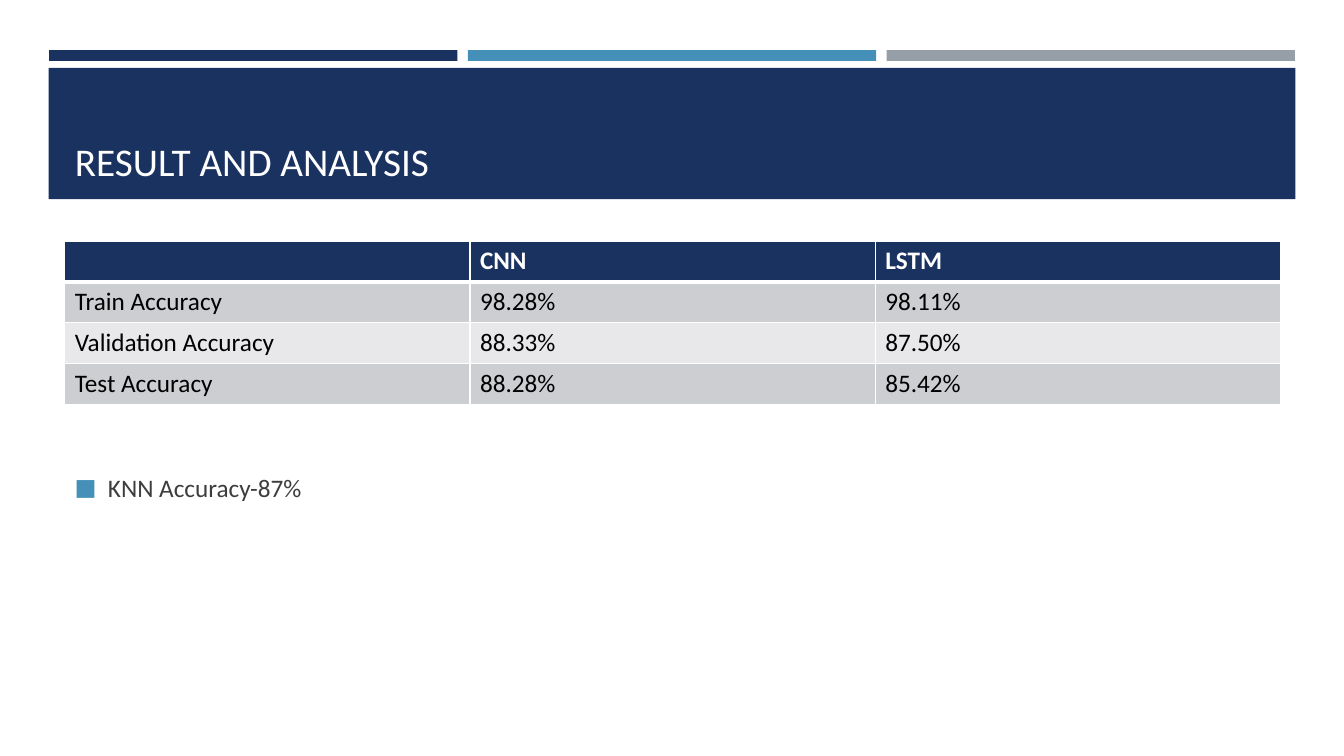
from dataclasses import dataclass

from lxml import etree
from pptx import Presentation
from pptx.dml.color import RGBColor
from pptx.enum.shapes import MSO_SHAPE
from pptx.enum.text import MSO_ANCHOR, MSO_AUTO_SIZE, PP_ALIGN
from pptx.oxml.ns import qn
from pptx.util import Inches, Pt

RECTANGLE = MSO_SHAPE.RECTANGLE
LEFT = PP_ALIGN.LEFT
BOTTOM, MIDDLE = MSO_ANCHOR.BOTTOM, MSO_ANCHOR.MIDDLE
NO_AUTOFIT = MSO_AUTO_SIZE.NONE

SLIDE_WIDTH, SLIDE_HEIGHT = Inches(13.33), Inches(7.5)
FONT = "Calibri"
COLORS = {
    "navy": "1A3260",
    "blue": "4590B8",
    "gray": "969FA7",
    "white": "FFFFFF",
    "black": "000000",
    "text": "3D3D3D",
    "dark_band": "CDCED2",
    "light_band": "E8E8EA",
}


@dataclass(frozen=True)
class Box:
    """Position and size in percent of the slide."""
    left: float
    top: float
    width: float
    height: float

    def lengths(self) -> tuple[int, int, int, int]:
        return (
            round(SLIDE_WIDTH * self.left / 100),
            round(SLIDE_HEIGHT * self.top / 100),
            round(SLIDE_WIDTH * self.width / 100),
            round(SLIDE_HEIGHT * self.height / 100),
        )


@dataclass(frozen=True)
class Bar:
    box: Box
    color: str


STRIPE_LEFT, STRIPE_PITCH, STRIPE_WIDTH = 3.65, 31.16, 30.38
BARS = [
    Bar(Box(STRIPE_LEFT + index * STRIPE_PITCH, 6.64, STRIPE_WIDTH, 1.42), color)
    for index, color in enumerate(("navy", "blue", "gray"))
] + [Bar(Box(3.62, 8.97, 92.77, 17.36), "navy")]

TITLE_BOX = Box(4.82, 10.27, 90.45, 14.8)
TABLE_BOX = Box(4.82, 31.87, 90.45, 21.4)
BULLET_BOX = Box(4.82, 60.5, 90.45, 8)

ACCURACY_ROWS = [
    ("", "CNN", "LSTM"),
    ("Train Accuracy", "98.28%", "98.11%"),
    ("Validation Accuracy", "88.33%", "87.50%"),
    ("Test Accuracy", "88.28%", "85.42%"),
]


def rgb(name: str) -> RGBColor:
    return RGBColor.from_string(COLORS[name])


def write_text(frame, text: str, *, size: float = 18, color: str = "black",
               bold: bool = False, anchor=None):
    if anchor is not None:
        frame.vertical_anchor = anchor
        frame.word_wrap = True
        frame.auto_size = NO_AUTOFIT
    paragraph = frame.paragraphs[0]
    paragraph.alignment = LEFT
    run = paragraph.add_run()
    run.text = text
    run.font.name = FONT
    run.font.size = Pt(size)
    run.font.bold = bold
    run.font.color.rgb = rgb(color)
    return paragraph


def draw_bar(slide, bar: Bar) -> None:
    shape = slide.shapes.add_shape(RECTANGLE, *bar.box.lengths())
    shape.shadow.inherit = False
    shape.fill.solid()
    shape.fill.fore_color.rgb = rgb(bar.color)
    shape.line.fill.background()


def draw_title(slide, text: str) -> None:
    title = slide.shapes.title
    title.left, title.top, title.width, title.height = TITLE_BOX.lengths()
    write_text(title.text_frame, text, size=28, color="white", anchor=BOTTOM)
    title.element.getparent().append(title.element)


def set_borders(cell, widths: dict[str, float]) -> None:
    properties = cell._tc.get_or_add_tcPr()
    for index, (side, width) in enumerate(widths.items()):
        line = etree.Element(qn(f"a:ln{side}"), w=str(Pt(width)))
        fill = etree.SubElement(line, qn("a:solidFill"))
        etree.SubElement(fill, qn("a:srgbClr"), val=COLORS["white"])
        properties.insert(index, line)


def draw_table(slide, rows: list[tuple[str, ...]]) -> None:
    frame = slide.shapes.add_table(len(rows), len(rows[0]), *TABLE_BOX.lengths())
    for row_index, values in enumerate(rows):
        header = row_index == 0
        band = "navy" if header else "dark_band" if row_index % 2 else "light_band"
        borders = {"L": 1, "R": 1, "T": 3 if row_index == 1 else 1, "B": 3 if header else 1}
        for column_index, value in enumerate(values):
            cell = frame.table.cell(row_index, column_index)
            cell.fill.solid()
            cell.fill.fore_color.rgb = rgb(band)
            set_borders(cell, borders)
            if value:
                write_text(cell.text_frame, value, bold=header,
                           color="white" if header else "black")


def draw_bullet(slide, text: str) -> None:
    box = slide.shapes.add_textbox(*BULLET_BOX.lengths())
    paragraph = write_text(box.text_frame, text, color="text", anchor=MIDDLE)
    properties = paragraph._p.get_or_add_pPr()
    properties.set("marL", str(Inches(0.33)))
    properties.set("indent", str(-Inches(0.33)))
    color = etree.SubElement(properties, qn("a:buClr"))
    etree.SubElement(color, qn("a:srgbClr"), val=COLORS["blue"])
    etree.SubElement(properties, qn("a:buSzPct"), val="92000")
    etree.SubElement(properties, qn("a:buFont"), typeface=FONT)
    etree.SubElement(properties, qn("a:buChar"), char="■")


def main() -> None:
    presentation = Presentation()
    presentation.slide_width = SLIDE_WIDTH
    presentation.slide_height = SLIDE_HEIGHT
    slide = presentation.slides.add_slide(presentation.slide_layouts.get_by_name("Title Only"))
    for bar in BARS:
        draw_bar(slide, bar)
    draw_title(slide, "RESULT AND ANALYSIS")
    draw_bullet(slide, "KNN Accuracy-87%")
    draw_table(slide, ACCURACY_ROWS)
    presentation.save("out.pptx")


if __name__ == "__main__":
    main()
